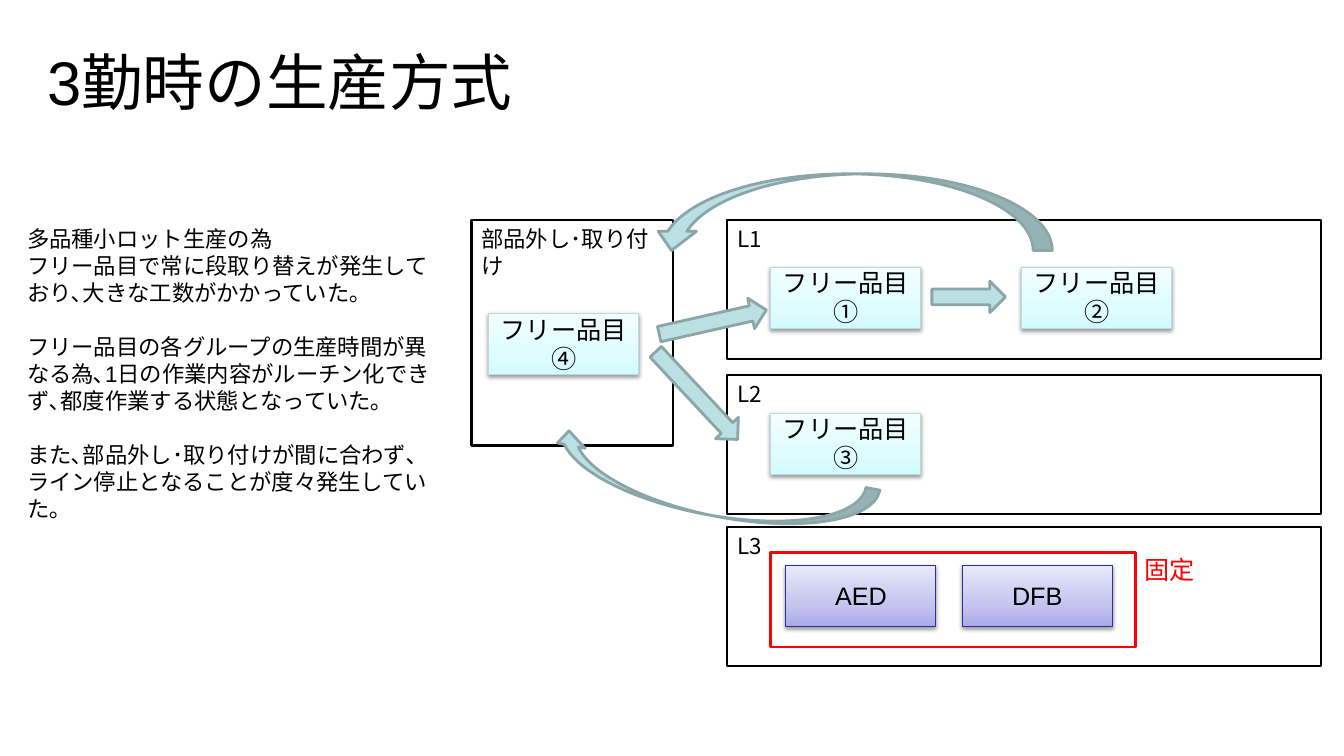
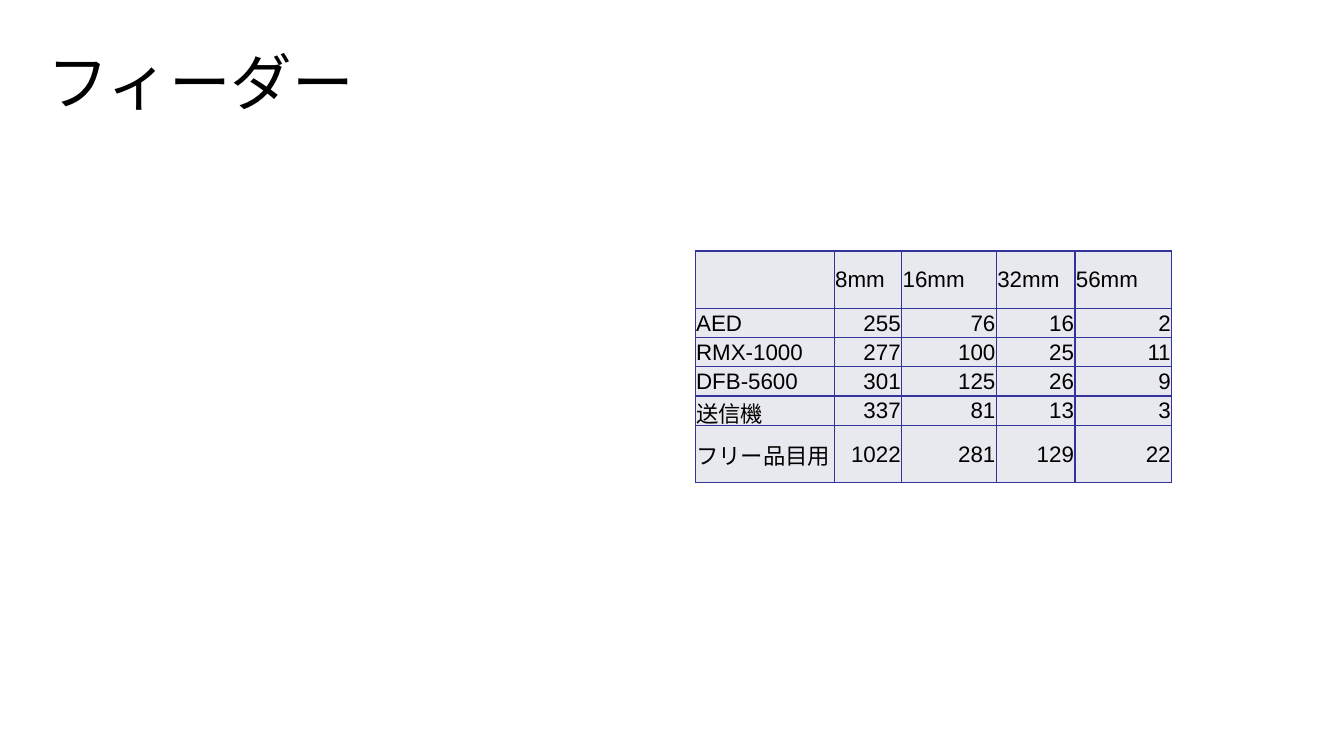
from lxml import etree
from pptx import Presentation
from pptx.dml.color import RGBColor
from pptx.enum.shapes import MSO_SHAPE
from pptx.enum.text import MSO_ANCHOR, PP_ALIGN
from pptx.oxml import parse_xml
from pptx.oxml.ns import nsdecls, qn
from pptx.util import Inches, Pt

RECTANGLE = MSO_SHAPE.RECTANGLE
RIGHT_ARROW = MSO_SHAPE.RIGHT_ARROW
CURVED_ARROW = MSO_SHAPE.CURVED_RIGHT_ARROW
TOP, MIDDLE = MSO_ANCHOR.TOP, MSO_ANCHOR.MIDDLE
LEFT, CENTER, RIGHT = PP_ALIGN.LEFT, PP_ALIGN.CENTER, PP_ALIGN.RIGHT

COLORS = {
    "text": "000000",
    "fixed": "FF0000",
    "arrow": "BBE0E3",
    "arrow_line": "8AA6A8",
    "free_line": "B6DCDF",
    "machine_line": "2F2F98",
    "cell": "E8E8EF",
    "border": "333399",
}
GRADIENTS = {
    "free": ((0, "D3FBFF"), (35, "DFFCFF"), (100, "F2FEFF")),
    "machine": ((0, "A9A9E9"), (35, "C4C4EF"), (100, "E8E8FA")),
}
LATIN_FONT = "Arial"
JAPANESE_FONT = "Noto Sans CJK JP"
TITLE_BOX = (0.37, 0.21, 10.87, 1.18)


def write_text(frame, lines, size, color="text", font=LATIN_FONT, align=LEFT,
               anchor=TOP, spacing=None, gaps=()):
    """Write one paragraph per line; gaps lists the lines that get space before."""
    frame.word_wrap = True
    frame.vertical_anchor = anchor
    for index, line in enumerate(lines):
        paragraph = frame.paragraphs[0] if index == 0 else frame.add_paragraph()
        paragraph.alignment = align
        if spacing:
            paragraph.line_spacing = Pt(spacing)
        if index in gaps:
            paragraph.space_before = Pt(spacing)
        run = paragraph.add_run()
        run.text = line
        for name, value in {"size": Pt(size), "name": font}.items():
            setattr(run.font, name, value)
        run.font.color.rgb = RGBColor.from_string(COLORS[color])
        east_asian = etree.SubElement(run.font._element, qn("a:ea"))
        east_asian.set("typeface", JAPANESE_FONT)


def add_outlined(slide, kind, box, line, width, fill=None):
    shape = slide.shapes.add_shape(kind, *map(Inches, box))
    shape.shadow.inherit = False
    shape.line.color.rgb = RGBColor.from_string(COLORS[line])
    shape.line.width = Pt(width)
    if fill:
        shape.fill.solid()
        shape.fill.fore_color.rgb = RGBColor.from_string(COLORS[fill])
    else:
        shape.fill.background()
    return shape


presentation = Presentation()
presentation.slide_width = Inches(13.34)
presentation.slide_height = Inches(7.5)
slides = []
for title in ("3勤時の生産方式", "フィーダー"):
    slide = presentation.slides.add_slide(presentation.slide_layouts[6])
    title_box = slide.shapes.add_textbox(*map(Inches, TITLE_BOX))
    write_text(title_box.text_frame, [title], 44, anchor=MIDDLE)
    slides.append(slide)
flow_slide, feeder_slide = slides

# Production lines and the parts station
areas = [
    ("部品外し･取り付け", (4.68, 2.18, 2, 2.24)),
    ("L1", (7.22, 2.18, 5.89, 1.38)),
    ("L2", (7.22, 3.72, 5.89, 1.38)),
    ("L3", (7.22, 5.23, 5.89, 1.38)),
]
for label, box in areas:
    area = add_outlined(flow_slide, RECTANGLE, box, "text", 1.5)
    write_text(area.text_frame, [label], 16, font=JAPANESE_FONT, spacing=19.3)

# Items with gradient and shadow
items = [
    ("フリー品目①", 7.65, 2.65, "free"),
    ("フリー品目②", 10.14, 2.65, "free"),
    ("フリー品目③", 7.65, 4.1, "free"),
    ("フリー品目④", 4.85, 3.11, "free"),
    ("AED", 7.8, 5.61, "machine"),
    ("DFB", 9.55, 5.61, "machine"),
]
for label, left, top, style in items:
    item = add_outlined(flow_slide, RECTANGLE, (left, top, 1.49, 0.61),
                        f"{style}_line", 0.75)
    item.fill.gradient()
    item.fill.gradient_angle = 90
    stop_list = item._element.spPr.find(qn("a:gradFill")).find(qn("a:gsLst"))
    for stop in list(stop_list):
        stop_list.remove(stop)
    for position, color in GRADIENTS[style]:
        stop_list.append(parse_xml(
            f'<a:gs {nsdecls("a")} pos="{position * 1000}">'
            f'<a:srgbClr val="{color}"/></a:gs>'))
    item._element.spPr.find(qn("a:effectLst")).append(parse_xml(
        f'<a:outerShdw {nsdecls("a")} blurRad="{Pt(3.1)}" dist="{Pt(1.6)}" '
        'dir="5400000" rotWithShape="0"><a:srgbClr val="000000">'
        '<a:alpha val="38000"/></a:srgbClr></a:outerShdw>'))
    write_text(item.text_frame, [label], 18, align=CENTER, anchor=MIDDLE,
               spacing=20.7)

explanation = flow_slide.shapes.add_textbox(
    *map(Inches, (0.17, 2.18, 4.21, 2.79)))
write_text(explanation.text_frame, [
    "多品種小ロット生産の為",
    "フリー品目で常に段取り替えが発生しており､大きな工数がかかっていた｡",
    "フリー品目の各グループの生産時間が異なる為､1日の作業内容がルーチン化できず､"
    "都度作業する状態となっていた｡",
    "また､部品外し･取り付けが間に合わず､",
    "ライン停止となることが度々発生していた｡",
], 16, spacing=19.3, gaps=(2, 3))

add_outlined(flow_slide, RECTANGLE, (7.65, 5.48, 3.62, 0.94), "fixed", 2)
fixed_label = flow_slide.shapes.add_textbox(
    *map(Inches, (11.26, 5.46, 0.72, 0.4)))
write_text(fixed_label.text_frame, ["固定"], 18, "fixed", spacing=20.7)

arrows = [
    (RIGHT_ARROW, (6.53, 3.04, 1.09, 0.31), 347.3, False),
    (RIGHT_ARROW, (9.25, 2.79, 0.73, 0.31), 0, False),
    (CURVED_ARROW, (8.08, 0.12, 0.76, 3.97), 90, False),
    (RIGHT_ARROW, (6.32, 3.77, 1.19, 0.31), 46.9, False),
    (CURVED_ARROW, (6.79, 3.19, 0.56, 3.28), 100.8, True),
]
for kind, box, rotation, flipped in arrows:
    arrow = add_outlined(flow_slide, kind, box, "arrow_line", 2, "arrow")
    arrow.rotation = rotation
    if flipped:
        arrow._element.spPr.find(qn("a:xfrm")).set("flipH", "1")

# Feeder counts by tape width
feeder_rows = [
    ("", "8mm", "16mm", "32mm", "56mm"),
    ("AED", "255", "76", "16", "2"),
    ("RMX-1000", "277", "100", "25", "11"),
    ("DFB-5600", "301", "125", "26", "9"),
    ("送信機", "337", "81", "13", "3"),
    ("フリー品目用", "1022", "281", "129", "22"),
]
column_widths = (1.38, 0.67, 0.94, 0.78, 0.96)
row_heights = (0.57, 0.29, 0.29, 0.29, 0.29, 0.57)
table = feeder_slide.shapes.add_table(
    len(row_heights), len(column_widths), Inches(6.9), Inches(2.49),
    Inches(sum(column_widths)), Inches(sum(row_heights))).table
table.first_row = table.horz_banding = False
for column, width in zip(table.columns, column_widths):
    column.width = Inches(width)
for row, height in zip(table.rows, row_heights):
    row.height = Inches(height)

cell_format = {
    "margin_left": Inches(0.01),
    "margin_right": Inches(0.01),
    "margin_top": Inches(0.01),
    "margin_bottom": 0,
    "vertical_anchor": MIDDLE,
}
for row_index, values in enumerate(feeder_rows):
    for column_index, value in enumerate(values):
        cell = table.cell(row_index, column_index)
        for name, setting in cell_format.items():
            setattr(cell, name, setting)
        cell.fill.solid()
        cell.fill.fore_color.rgb = RGBColor.from_string(COLORS["cell"])
        for position, side in enumerate(("lnL", "lnR", "lnT", "lnB")):
            cell._tc.tcPr.insert(position, parse_xml(
                f'<a:{side} {nsdecls("a")} w="{Pt(1)}"><a:solidFill>'
                f'<a:srgbClr val="{COLORS["border"]}"/></a:solidFill></a:{side}>'))
        if value:
            align = RIGHT if row_index and column_index else LEFT
            write_text(cell.text_frame, [value], 16, align=align, anchor=MIDDLE)

presentation.save("out.pptx")
